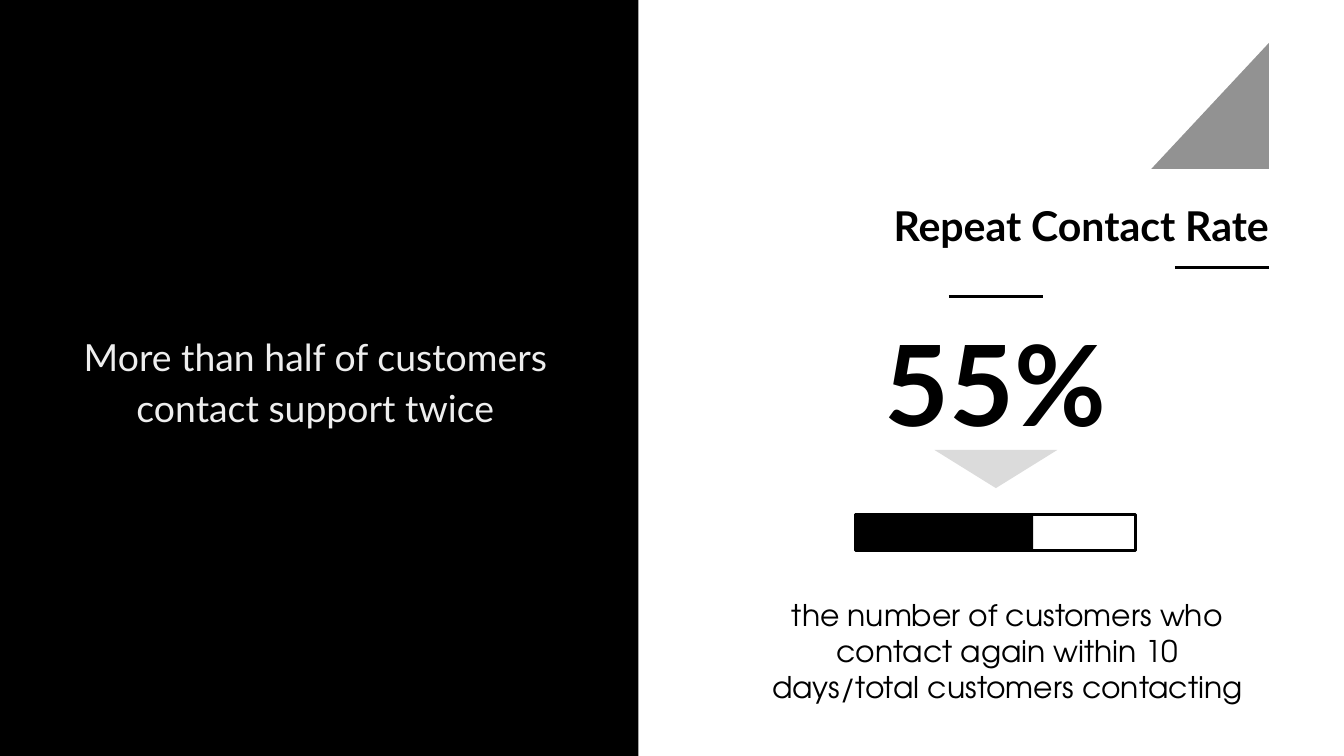
from lxml import etree
from pptx import Presentation
from pptx import util as u
from pptx.dml.color import RGBColor
from pptx.enum import shapes, text
from pptx.oxml.ns import qn

Pt = u.Pt
SHAPE = shapes.MSO_SHAPE
ALIGN = text.PP_ALIGN
ANCHOR = text.MSO_ANCHOR
BLACK = "000000"


def color(hex_code):
    """Return the colour for a hex string."""
    return RGBColor.from_string(hex_code)


def place(sp, box):
    """Move and size a shape to a box given in points."""
    for name, value in zip(("left", "top", "width", "height"), box):
        setattr(sp, name, Pt(value))


def add_shape(s, kind, box, fill=None, line=None):
    """Add a flat preset shape with an optional fill and outline."""
    sp = s.shapes.add_shape(kind, *map(Pt, box))
    sp.shadow.inherit = False
    if fill:
        sp.fill.solid()
        sp.fill.fore_color.rgb = color(fill)
    else:
        sp.fill.background()
    if line:
        sp.line.color.rgb = color(line)
        sp.line.width = Pt(1.5)
    else:
        sp.line.fill.background()
    return sp


def add_rule(s, x, y, width=50.4):
    """Add a short horizontal black rule."""
    ln = s.shapes.add_connector(
        shapes.MSO_CONNECTOR.STRAIGHT, Pt(x), Pt(y), Pt(x + width), Pt(y))
    ln.line.color.rgb = color(BLACK)
    ln.line.width = Pt(1.5)
    etree.SubElement(ln._element.spPr, qn("a:effectLst"))


def set_text(sp, lines, hex_code, align, spacing=1.0, anchor=ANCHOR.TOP, **font):
    """Write one paragraph per line with a shared format."""
    tf = sp.text_frame
    frame = dict(word_wrap=True, auto_size=text.MSO_AUTO_SIZE.NONE,
                 vertical_anchor=anchor)
    frame.update({f"margin_{side}": Pt(7.2)
                  for side in ("left", "top", "right", "bottom")})
    for name, value in frame.items():
        setattr(tf, name, value)
    for i, line in enumerate(lines):
        p = tf.paragraphs[0] if i == 0 else tf.add_paragraph()
        p.alignment, p.line_spacing = align, spacing
        p.space_before = Pt(0)
        r = p.add_run()
        r.text = line
        for name, value in font.items():
            setattr(r.font, name, value)
        r.font.color.rgb = color(hex_code)


def add_text(s, box, lines, hex_code, **fmt):
    """Add a centred text box."""
    sp = s.shapes.add_textbox(*map(Pt, box))
    set_text(sp, lines, hex_code, ALIGN.CENTER, **fmt)


def statement_panel(s, box):
    """Build the dark panel with the key statement."""
    x, y, w, h = box
    add_shape(s, SHAPE.RECTANGLE, box, BLACK)
    add_text(s, (x + 9, y + 168, w - 22, 86),
             ["More than half of customers", "contact support twice"], "EEEEEE",
             spacing=1.15, size=Pt(20), name="Lato")


def heading(s, box):
    """Build the title with its rule and corner triangle."""
    x, y, w, h = box
    right = x + w - 7.2
    place(s.shapes.title, box)
    set_text(s.shapes.title, ["Repeat Contact Rate"], BLACK, ALIGN.RIGHT,
             spacing=1.15, size=Pt(22), name="Lato", bold=True)
    add_rule(s, right - 50.4, y + 47.5)
    corner = add_shape(s, SHAPE.RIGHT_TRIANGLE, (right - 63, y - 73, 63, 67.5), "929292")
    corner._element.spPr.find(qn("a:xfrm")).set("flipH", "1")


def metric(s, box, share, definition):
    """Build the large rate with its pointer, progress bar and definition."""
    x, y, w, h = box
    mid = x + w / 2
    bar_x, bar_w = mid - 75, 150
    add_rule(s, mid - 25.2, y)
    add_text(s, (mid - 69, y + 24.5, 138, 42), [share], BLACK,
             anchor=ANCHOR.MIDDLE, size=Pt(60), name="Lato", bold=True)
    pointer = add_shape(s, SHAPE.ISOSCELES_TRIANGLE, (mid - 33, y + 82, 66, 20.5), "DBDBDB")
    pointer.rotation = 180
    bar = (bar_x, y + 116.5, bar_w, 19.5)
    add_shape(s, SHAPE.RECTANGLE, bar, line=BLACK)
    add_shape(s, SHAPE.RECTANGLE, (bar_x, bar[1], 95, bar[3]), BLACK)
    add_text(s, (x, y + h - 80, 268.5, 80), [definition], BLACK,
             size=Pt(16), name="TeX Gyre Adventor")


def main():
    """Build and save the slide."""
    prs = Presentation()
    prs.slide_width, prs.slide_height = Pt(720), Pt(405)
    s = prs.slides.add_slide(prs.slide_layouts[5])
    statement_panel(s, (0, 0, 342, 405))
    heading(s, (340, 96, 347, 42))
    metric(s, (405.5, 159, 256, 233.5), "55%",
           "the number of customers who contact again within 10 "
           "days/total customers contacting")
    prs.save("out.pptx")


if __name__ == "__main__":
    main()
